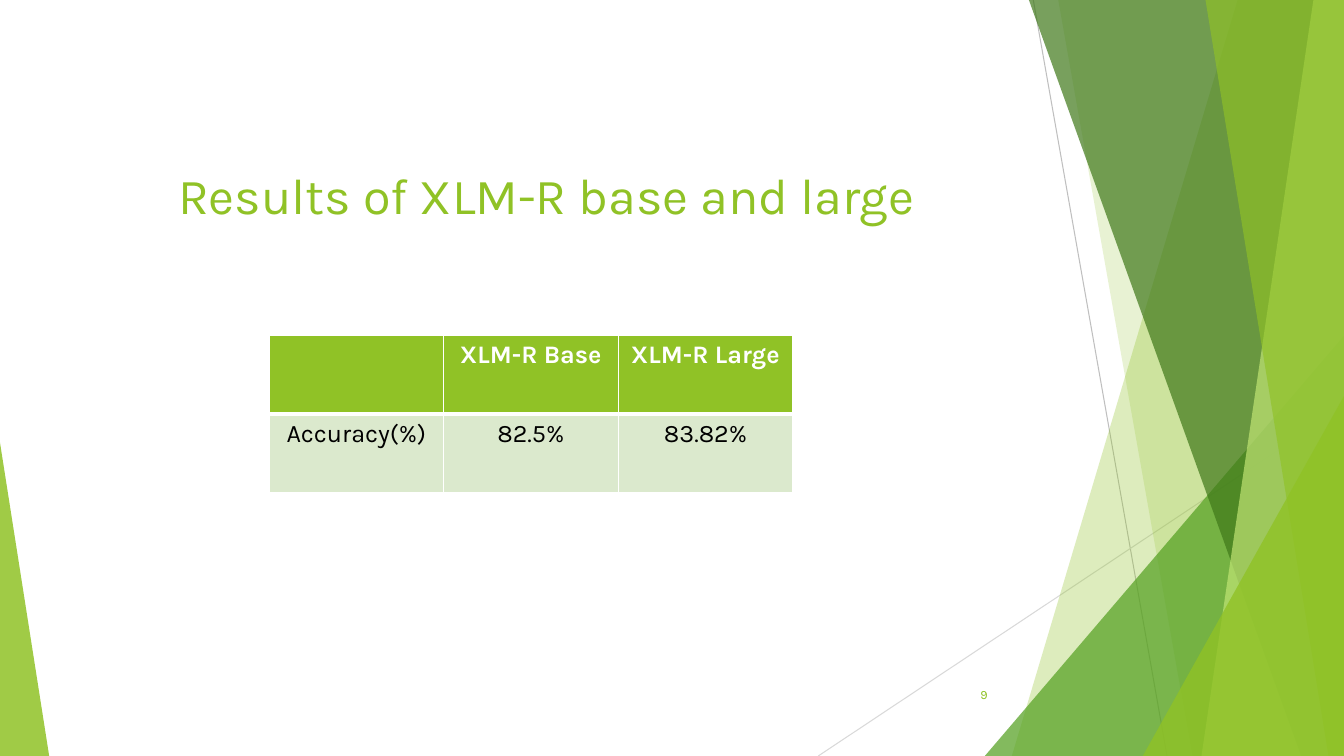
from pptx import Presentation
from pptx.dml.color import RGBColor
from pptx.enum.shapes import MSO_CONNECTOR as Connector, MSO_SHAPE as Preset
from pptx.enum.text import MSO_ANCHOR as Anchor, PP_ALIGN as Align
from pptx.oxml import parse_xml
from pptx.oxml.ns import nsdecls, qn
from pptx.oxml.xmlchemy import OxmlElement
from pptx.util import Cm, Pt

WIDTH, HEIGHT = 33.87, 19.05
FONT = "Karla"
GREEN, WHITE, BLACK, PALE = "90C226", "FFFFFF", "000000", "DBE9CD"

RAYS = [
    ((26.04, 0), (29.41, HEIGHT), "BFBFBF"),
    ((WIDTH, 10.24), (20.62, HEIGHT), "D9D9D9"),
]
FACETS = [
    ("panel", 31.19, 25.5, GREEN, 30),
    ("panel", 26.67, 30.05, GREEN, 20),
    ("corner", 24.82, 8.46, "54A021", 72),
    ("panel", 25.93, 32.79, "3F7819", 70),
    ("panel", 33.1, 30.28, "C0E474", 70),
    ("panel", 30.38, 33.48, GREEN, 65),
    ("corner", 28.8, 9.98, GREEN, 80),
]
RESULTS = [
    ["", "XLM-R Base", "XLM-R Large"],
    ["Accuracy(%)", "82.5%", "83.82%"],
]
ROW_STYLES = [
    {"fill": GREEN, "text": {"size": 18, "color": WHITE, "bold": True}},
    {"fill": PALE, "text": {"size": 18, "color": BLACK, "bold": False}},
]


def color(value):
    return RGBColor.from_string(value)


def write(frame, text, size, color_value, align, bold=False):
    para = frame.paragraphs[0]
    para.alignment = align
    span = para.add_run()
    span.text = text
    span.font.color.rgb = color(color_value)
    formats = {"name": FONT, "size": Pt(size), "bold": bold}
    for name, value in formats.items():
        setattr(span.font, name, value)


def paint(shape, color_value, opacity):
    shape.shadow.inherit = False
    shape.line.fill.background()
    shape.fill.solid()
    shape.fill.fore_color.rgb = color(color_value)
    alpha = OxmlElement("a:alpha")
    alpha.set("val", str(opacity * 1000))
    shape.fill._xPr.find(qn("a:solidFill"))[0].append(alpha)


def add_ray(page, start, end, color_value):
    ray = page.shapes.add_connector(
        Connector.STRAIGHT, *(Cm(value) for value in start + end))
    ray.line.color.rgb = color(color_value)
    ray.line.width = Pt(0.75)
    ray._element.spPr.append(OxmlElement("a:effectLst"))


def add_panel(page, right, bottom, top_left, bottom_left):
    corners = [(right, 0), (right, bottom), (bottom_left, bottom)]
    builder = page.shapes.build_freeform(Cm(top_left), 0)
    builder.add_line_segments([(Cm(x), Cm(y)) for x, y in corners], close=True)
    return builder.convert_to_shape()


def add_corner(page, left, top, width, height, apex):
    corner = page.shapes.add_shape(
        Preset.ISOSCELES_TRIANGLE, Cm(left), Cm(top), Cm(width), Cm(height))
    corner.adjustments[0] = apex
    return corner


def add_backdrop(page, width, height):
    for ray in RAYS:
        add_ray(page, *ray)
    for kind, first, second, color_value, opacity in FACETS:
        if kind == "panel":
            facet = add_panel(page, width, height, first, second)
        else:
            facet = add_corner(
                page, first, second, width - first, height - second, 1)
        paint(facet, color_value, opacity)
    paint(add_corner(page, 0, height - 7.9, 1.24, 7.9, 0), GREEN, 85)


def add_text(page, left, top, width, height, text, size, align, anchor):
    box = page.shapes.add_textbox(Cm(left), Cm(top), Cm(width), Cm(height))
    box.text_frame.word_wrap = True
    box.text_frame.vertical_anchor = anchor
    write(box.text_frame, text, size, GREEN, align)


def add_borders(cell, widths):
    properties = cell._tc.get_or_add_tcPr()
    for index, (side, width) in enumerate(widths.items()):
        properties.insert(index, parse_xml(
            f'<a:ln{side} {nsdecls("a")} w="{Pt(width)}"><a:solidFill>'
            f'<a:srgbClr val="{WHITE}"/></a:solidFill></a:ln{side}>'))


def add_results(page, left, top, width, height):
    rows, columns = len(RESULTS), len(RESULTS[0])
    table = page.shapes.add_table(
        rows, columns, Cm(left), Cm(top), Cm(width), Cm(height)).table
    for row, (values, style) in enumerate(zip(RESULTS, ROW_STYLES)):
        for column, value in enumerate(values):
            cell = table.cell(row, column)
            cell.fill.solid()
            cell.fill.fore_color.rgb = color(style["fill"])
            if value:
                write(cell.text_frame, value, style["text"]["size"],
                      style["text"]["color"], Align.CENTER,
                      style["text"]["bold"])
            add_borders(cell, {"L": 1, "R": 1, "T": 3 if row else 1,
                               "B": 1 if row else 3})


def main():
    deck = Presentation()
    deck.slide_width, deck.slide_height = Cm(WIDTH), Cm(HEIGHT)
    page = deck.slides.add_slide(deck.slide_layouts[6])
    add_backdrop(page, WIDTH, HEIGHT)
    add_text(page, 4.24, 4.01, 20.93, 3.28, "Results of XLM-R base and large",
             36, Align.LEFT, Anchor.TOP)
    add_text(page, 23.85, 16.79, 1.9, 1.02, "9", 9, Align.CENTER, Anchor.BOTTOM)
    add_results(page, 6.78, 8.46, 13.2, 3.96)
    deck.save("out.pptx")


if __name__ == "__main__":
    main()
